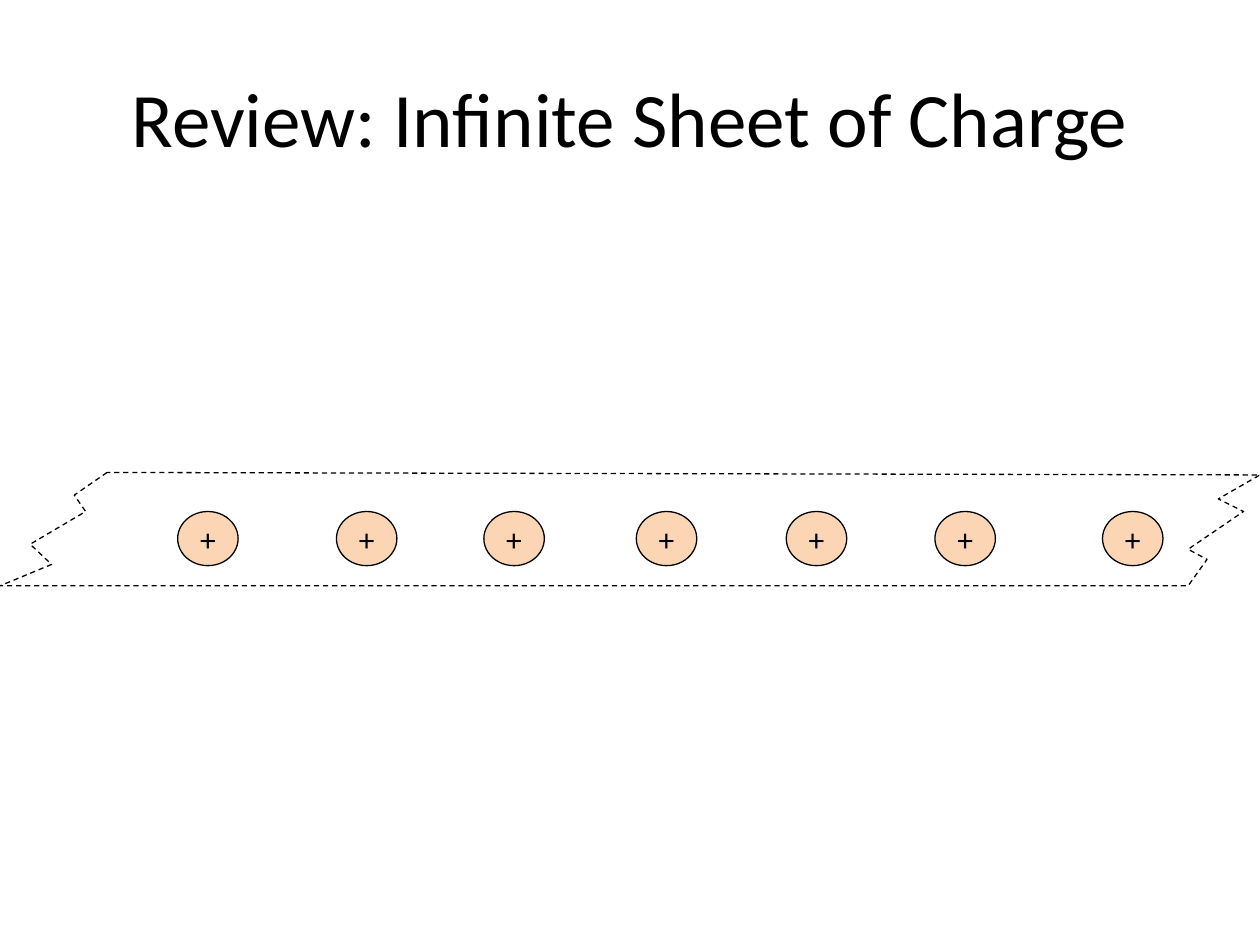
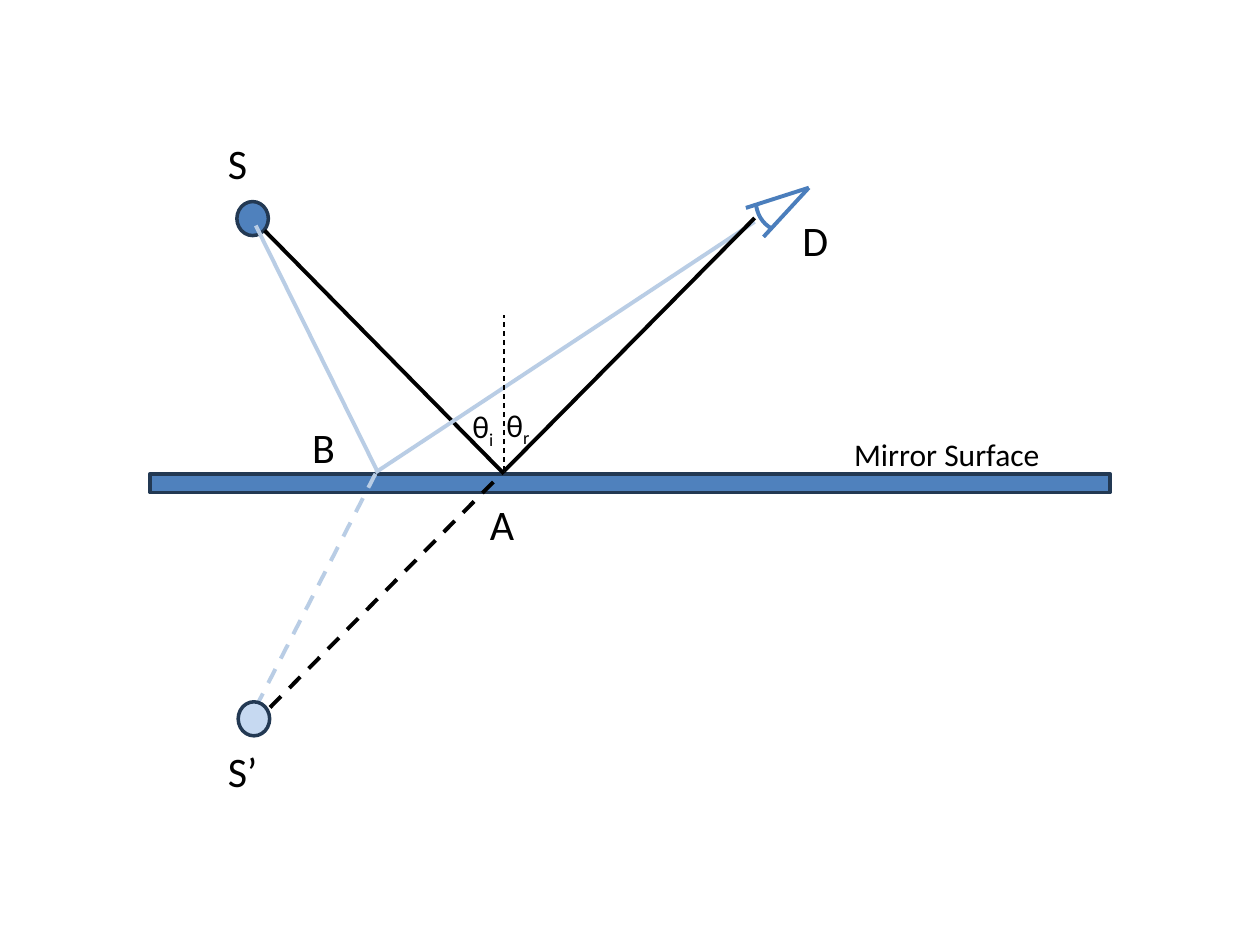
from lxml import etree
from pptx import Presentation
from pptx.dml.color import RGBColor
from pptx.enum.dml import MSO_LINE
from pptx.enum.shapes import MSO_CONNECTOR, MSO_SHAPE
from pptx.enum.text import MSO_ANCHOR, MSO_AUTO_SIZE, PP_ALIGN
from pptx.oxml.ns import qn
from pptx.util import Inches, Pt

BLACK = RGBColor(0x00, 0x00, 0x00)
PEACH = RGBColor(0xFC, 0xD5, 0xB5)
BLUE = RGBColor(0x4F, 0x81, 0xBD)
NAVY = RGBColor(0x23, 0x39, 0x53)
EYE_BLUE = RGBColor(0x4B, 0x7E, 0xBC)
RAY_BLUE = RGBColor(0xB9, 0xCD, 0xE5)
IMAGE_BLUE = RGBColor(0xC6, 0xD9, 0xF1)
FONT = "Calibri"
TITLE_ONLY, BLANK = 5, 6


class Deck:
    def __init__(self):
        self.prs = Presentation()
        self.prs.slide_width, self.prs.slide_height = Inches(10), Inches(7.5)

    def slide(self, layout):
        self.s = self.prs.slides.add_slide(self.prs.slide_layouts[layout])

    def font(self, p, size):
        for r in p.runs:
            r.font.name, r.font.size = FONT, Pt(size)
            r.font.color.rgb = BLACK

    def outline(self, sp, color, width, dashed=False):
        sp.line.color.rgb, sp.line.width = color, Pt(width)
        if dashed:
            sp.line.dash_style = MSO_LINE.DASH

    def title(self, text):
        sp = self.s.shapes.title
        sp.left, sp.top, sp.width, sp.height = map(Inches, (0.5, 0.3, 9, 1.25))
        tf = sp.text_frame
        tf.text = text
        tf.vertical_anchor = MSO_ANCHOR.MIDDLE
        tf.paragraphs[0].alignment = PP_ALIGN.CENTER
        self.font(tf.paragraphs[0], 44)

    def shape(self, kind, box, fill, line, width, text=""):
        sp = self.s.shapes.add_shape(kind, *map(Inches, box))
        sp.shadow.inherit = False
        if fill is None:
            sp.fill.background()
        else:
            sp.fill.solid()
            sp.fill.fore_color.rgb = fill
        self.outline(sp, line, width)
        if text:
            tf = sp.text_frame
            tf.text = text
            tf.word_wrap = False
            tf.vertical_anchor = MSO_ANCHOR.MIDDLE
            tf.paragraphs[0].alignment = PP_ALIGN.CENTER
            self.font(tf.paragraphs[0], 18)
        return sp

    def freeform(self, points, line, width, dashed=False):
        start, *rest = [(Inches(x), Inches(y)) for x, y in points]
        builder = self.s.shapes.build_freeform(*start)
        builder.add_line_segments(rest, close=True)
        sp = builder.convert_to_shape()
        sp.shadow.inherit = False
        sp.fill.background()
        self.outline(sp, line, width, dashed)

    def line(self, start, end, color, width=2.25, dashed=False):
        sp = self.s.shapes.add_connector(
            MSO_CONNECTOR.STRAIGHT, *map(Inches, start + end))
        self.outline(sp, color, width, dashed)
        etree.SubElement(sp._element.spPr, qn("a:effectLst"))
        return sp

    def label(self, text, box, size, subscript=""):
        tf = self.s.shapes.add_textbox(*map(Inches, box)).text_frame
        tf.word_wrap = False
        tf.auto_size = MSO_AUTO_SIZE.SHAPE_TO_FIT_TEXT
        p = tf.paragraphs[0]
        p.text = text
        if subscript:
            r = p.add_run()
            r.text = subscript
            r._r.get_or_add_rPr().set("baseline", "-25000")
        self.font(p, size)


def charge_sheet(deck):
    deck.slide(TITLE_ONLY)
    deck.title("Review: Infinite Sheet of Charge")
    for x in (1.41, 2.67, 3.84, 5.05, 6.24, 7.42, 8.75):
        deck.shape(MSO_SHAPE.OVAL, (x, 4.06, 0.48, 0.43), PEACH, BLACK, 0.75, "+")
    torn_left = [(0.85, 3.75), (0.59, 3.93), (0.68, 4.06), (0.24, 4.32),
                 (0.41, 4.48), (0, 4.65)]
    torn_right = [(9.43, 4.65), (9.58, 4.44), (9.43, 4.36), (9.87, 4.06),
                  (9.67, 3.96), (10, 3.77)]
    deck.freeform(torn_left + torn_right, BLACK, 0.75, dashed=True)


def mirror_reflection(deck):
    deck.slide(BLANK)
    deck.shape(MSO_SHAPE.RECTANGLE, (1.19, 3.76, 7.62, 0.15), BLUE, NAVY, 2)
    deck.shape(MSO_SHAPE.OVAL, (1.88, 1.6, 0.25, 0.27), BLUE, NAVY, 2)

    pupil = deck.shape(MSO_SHAPE.ARC, (6, 1.34, 0.47, 0.5), None, EYE_BLUE, 2.25)
    pupil.adjustments[0], pupil.adjustments[1] = 169.91, 203.87
    pupil.rotation = 192.4
    lids = [deck.line(start, (6.42, 1.49), EYE_BLUE)
            for start in ((5.92, 1.65), (6.06, 1.88))]
    deck.s.shapes.add_group_shape([pupil] + lids)

    deck.line((2.1, 1.83), (4, 3.76), BLACK)
    deck.line((1.99, 5.77), (3.98, 3.76), BLACK, dashed=True)
    deck.line((2.03, 1.79), (2.99, 3.73), RAY_BLUE)
    deck.line((5.99, 1.76), (2.98, 3.75), RAY_BLUE)
    deck.line((2.98, 3.76), (1.94, 5.79), RAY_BLUE, dashed=True)
    deck.line((4, 3.74), (5.99, 1.73), BLACK)
    deck.shape(MSO_SHAPE.OVAL, (1.89, 5.57, 0.25, 0.27), IMAGE_BLUE, NAVY, 2)
    deck.line((4, 3.74), (4, 2.5), BLACK, 0.75, dashed=True)

    for name, x, y, width in (("S", 1.71, 1.04, 0.36), ("A", 3.79, 3.91, 0.4),
                              ("D", 6.27, 1.65, 0.41), ("S’", 1.71, 5.87, 0.44),
                              ("B", 2.38, 3.3, 0.4)):
        deck.label(name, (x, y, width, 0.5), 24)
    deck.label("Mirror Surface", (6.68, 3.4, 1.69, 0.4), 18)
    deck.label("θ", (3.65, 3.18, 0.37, 0.4), 18, "i")
    deck.label("θ", (3.92, 3.17, 0.39, 0.4), 18, "r")


def main():
    deck = Deck()
    charge_sheet(deck)
    mirror_reflection(deck)
    deck.prs.save("out.pptx")


if __name__ == "__main__":
    main()
